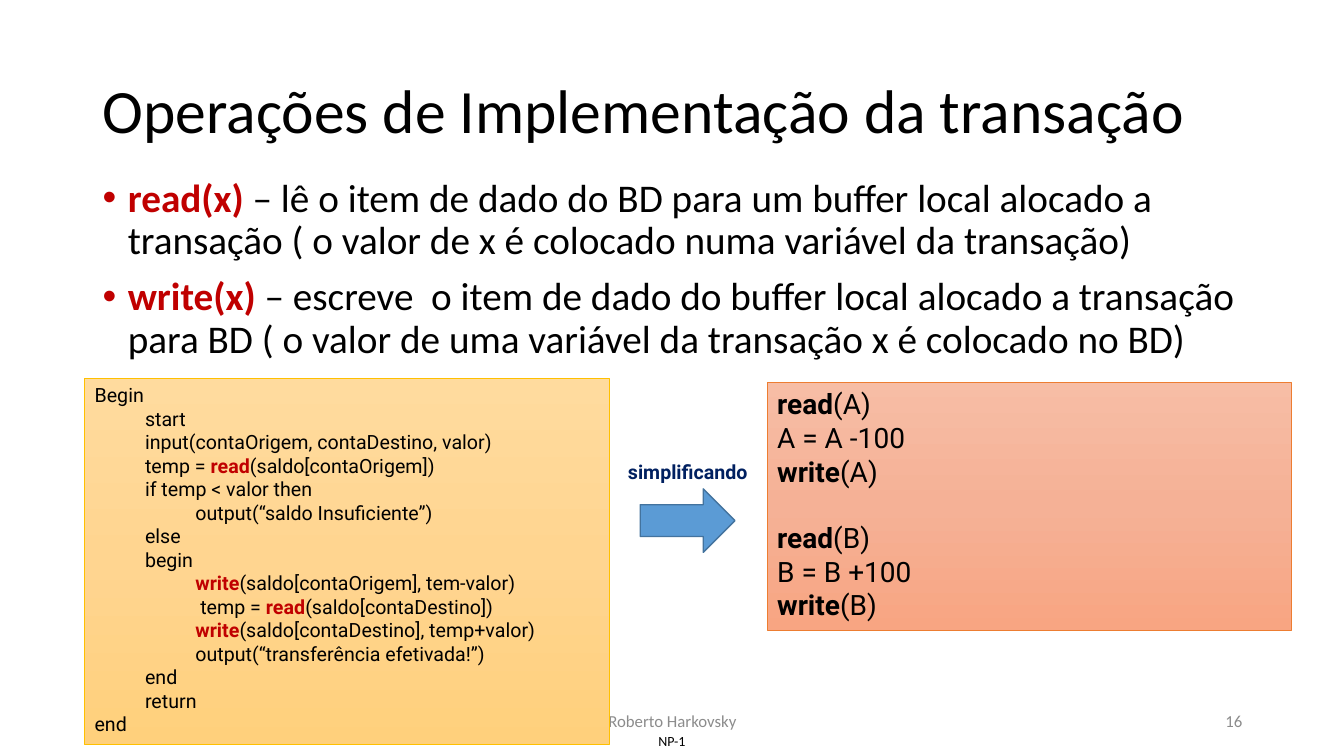
from copy import deepcopy
from dataclasses import dataclass

from lxml.etree import SubElement
from pptx import Presentation
from pptx.dml.color import RGBColor
from pptx.enum.shapes import MSO_SHAPE
from pptx.enum.text import MSO_ANCHOR, PP_ALIGN
from pptx.oxml.ns import qn
from pptx.shapes.autoshape import Shape
from pptx.slide import Slide
from pptx.util import Pt

EMU_PER_PX = 9144

BLACK = RGBColor(0x00, 0x00, 0x00)
GREY = RGBColor(0x8C, 0x8C, 0x8C)
RED = RGBColor(0xC0, 0x00, 0x00)
NAVY = RGBColor(0x00, 0x20, 0x60)
BLUE = RGBColor(0x5B, 0x9B, 0xD5)
DARK_BLUE = RGBColor(0x43, 0x73, 0x9E)
GOLD = RGBColor(0xFF, 0xC0, 0x00)
ORANGE = RGBColor(0xED, 0x7D, 0x31)
GOLD_FADE = (RGBColor(0xFF, 0xDB, 0x9E), RGBColor(0xFF, 0xD5, 0x90), RGBColor(0xFF, 0xD0, 0x7C))
ORANGE_FADE = (RGBColor(0xF7, 0xBD, 0xA5), RGBColor(0xF5, 0xB1, 0x96), RGBColor(0xF8, 0xA5, 0x82))


@dataclass(frozen=True)
class Box:
    left: int
    top: int
    width: int
    height: int

    def emu(self) -> tuple[int, ...]:
        return tuple(px(side) for side in (self.left, self.top, self.width, self.height))


@dataclass(frozen=True)
class Line:
    text: str
    level: int = 0
    space_before: float = 0


@dataclass(frozen=True)
class Style:
    size: int
    font: str = "Calibri"
    color: RGBColor = BLACK
    keyword_color: RGBColor = BLACK
    align: PP_ALIGN = PP_ALIGN.LEFT
    anchor: MSO_ANCHOR = MSO_ANCHOR.MIDDLE
    spacing: float = 1.0
    bullet: bool = False
    wrap: bool = True
    inset: bool = True


@dataclass(frozen=True)
class Label:
    box: Box
    style: Style
    lines: tuple[Line, ...]


@dataclass(frozen=True)
class CodePanel:
    box: Box
    style: Style
    lines: tuple[Line, ...]
    fade: tuple[RGBColor, ...]
    border: RGBColor


INDENT = 50
BULLET_INDENT = 25

PAGE_LABELS = (
    Label(Box(638, 721, 57, 29), Style(10, align=PP_ALIGN.CENTER, inset=False), (Line("NP-1"),)),
    Label(Box(92, 40, 1150, 145), Style(44, spacing=0.9),
          (Line("Operações de Implementação da transação"),)),
    Label(Box(92, 172, 1150, 207),
          Style(28, keyword_color=RED, anchor=MSO_ANCHOR.TOP, spacing=0.9, bullet=True),
          (Line("*read(x) *– lê o item de dado do BD para um buffer local alocado a transação "
                "( o valor de x é colocado numa variável da transação)", space_before=10),
           Line("*write(x) *– escreve  o item de dado do buffer local alocado a transação para BD "
                "( o valor de uma variável da transação x é colocado no BD)", space_before=10))),
    Label(Box(442, 695, 450, 40), Style(12, color=GREY, align=PP_ALIGN.CENTER),
          (Line("Roberto Harkovsky"),)),
    Label(Box(942, 695, 300, 40), Style(12, color=GREY, align=PP_ALIGN.RIGHT), (Line("16"),)),
)

CODE_PANELS = (
    CodePanel(
        Box(84, 375, 520, 364),
        Style(14, "Roboto", keyword_color=RED, anchor=MSO_ANCHOR.TOP),
        (Line("Begin"),
         Line("start", 1),
         Line("input(contaOrigem, contaDestino, valor)", 1),
         Line("temp = *read*(saldo[contaOrigem])", 1),
         Line("if temp < valor then", 1),
         Line("output(“saldo Insuficiente”)", 2),
         Line("else", 1),
         Line("begin", 1),
         Line("*write*(saldo[contaOrigem], tem-valor)", 2),
         Line(" temp = *read*(saldo[contaDestino])", 2),
         Line("*write*(saldo[contaDestino], temp+valor)", 2),
         Line("output(“transferência efetivada!”)", 2),
         Line("end", 1),
         Line("return", 1),
         Line("end")),
        GOLD_FADE, GOLD),
    CodePanel(
        Box(761, 379, 520, 246),
        Style(20, "Roboto", anchor=MSO_ANCHOR.TOP),
        (Line("*read*(A)"),
         Line("A = A -100"),
         Line("*write*(A)"),
         Line("*read*(B)", space_before=23.5),
         Line("B = B +100"),
         Line("*write*(B)")),
        ORANGE_FADE, ORANGE),
)

SIMPLIFY_ARROW = Box(635, 485, 94, 63)
SIMPLIFY_LABEL = Label(
    Box(613, 451, 146, 34),
    Style(14, "Roboto", keyword_color=NAVY, anchor=MSO_ANCHOR.TOP, wrap=False),
    (Line("*simplificando*"),))


def px(length: int) -> int:
    return length * EMU_PER_PX


def write_lines(shape: Shape, lines: tuple[Line, ...], style: Style) -> None:
    frame = shape.text_frame
    frame.word_wrap = style.wrap
    frame.vertical_anchor = style.anchor
    if not style.inset:
        frame.margin_left = frame.margin_right = frame.margin_top = frame.margin_bottom = 0
    for index, line in enumerate(lines):
        paragraph = frame.add_paragraph() if index else frame.paragraphs[0]
        paragraph.alignment = style.align
        paragraph.line_spacing = style.spacing
        paragraph.space_before = Pt(line.space_before)
        properties = paragraph._p.get_or_add_pPr()
        if style.bullet:
            properties.set("marL", str(px(BULLET_INDENT)))
            properties.set("indent", str(-px(BULLET_INDENT)))
            SubElement(properties, qn("a:buFont"), typeface="Arial")
            SubElement(properties, qn("a:buChar"), char="•")
        elif line.level:
            properties.set("marL", str(px(INDENT * line.level)))
            properties.set("indent", "0")
        for position, part in enumerate(line.text.split("*")):
            if not part:
                continue
            is_keyword = position % 2 == 1
            run = paragraph.add_run()
            run.text = part
            run.font.name = style.font
            run.font.size = Pt(style.size)
            run.font.bold = is_keyword
            run.font.color.rgb = style.keyword_color if is_keyword else style.color


def add_label(slide: Slide, label: Label) -> None:
    write_lines(slide.shapes.add_textbox(*label.box.emu()), label.lines, label.style)


def add_code_panel(slide: Slide, panel: CodePanel) -> None:
    shape = slide.shapes.add_shape(MSO_SHAPE.RECTANGLE, *panel.box.emu())
    shape.shadow.inherit = False
    shape.fill.gradient()
    shape.fill.gradient_angle = 270
    stop_list = shape._element.spPr.find(".//" + qn("a:gsLst"))
    stop_list.append(deepcopy(stop_list[0]))
    for index, (stop, color) in enumerate(zip(shape.fill.gradient_stops, panel.fade)):
        stop.position = index / 2
        stop.color.rgb = color
    shape.line.color.rgb = panel.border
    shape.line.width = Pt(0.5)
    write_lines(shape, panel.lines, panel.style)


def add_arrow(slide: Slide, box: Box) -> None:
    arrow = slide.shapes.add_shape(MSO_SHAPE.RIGHT_ARROW, *box.emu())
    arrow.shadow.inherit = False
    arrow.fill.solid()
    arrow.fill.fore_color.rgb = BLUE
    arrow.line.color.rgb = DARK_BLUE
    arrow.line.width = Pt(1)


def main() -> None:
    presentation = Presentation()
    presentation.slide_width = px(1333)
    presentation.slide_height = px(750)
    slide = presentation.slides.add_slide(presentation.slide_layouts[6])
    for label in PAGE_LABELS:
        add_label(slide, label)
    for panel in CODE_PANELS:
        add_code_panel(slide, panel)
    add_arrow(slide, SIMPLIFY_ARROW)
    add_label(slide, SIMPLIFY_LABEL)
    presentation.save("out.pptx")


if __name__ == "__main__":
    main()
